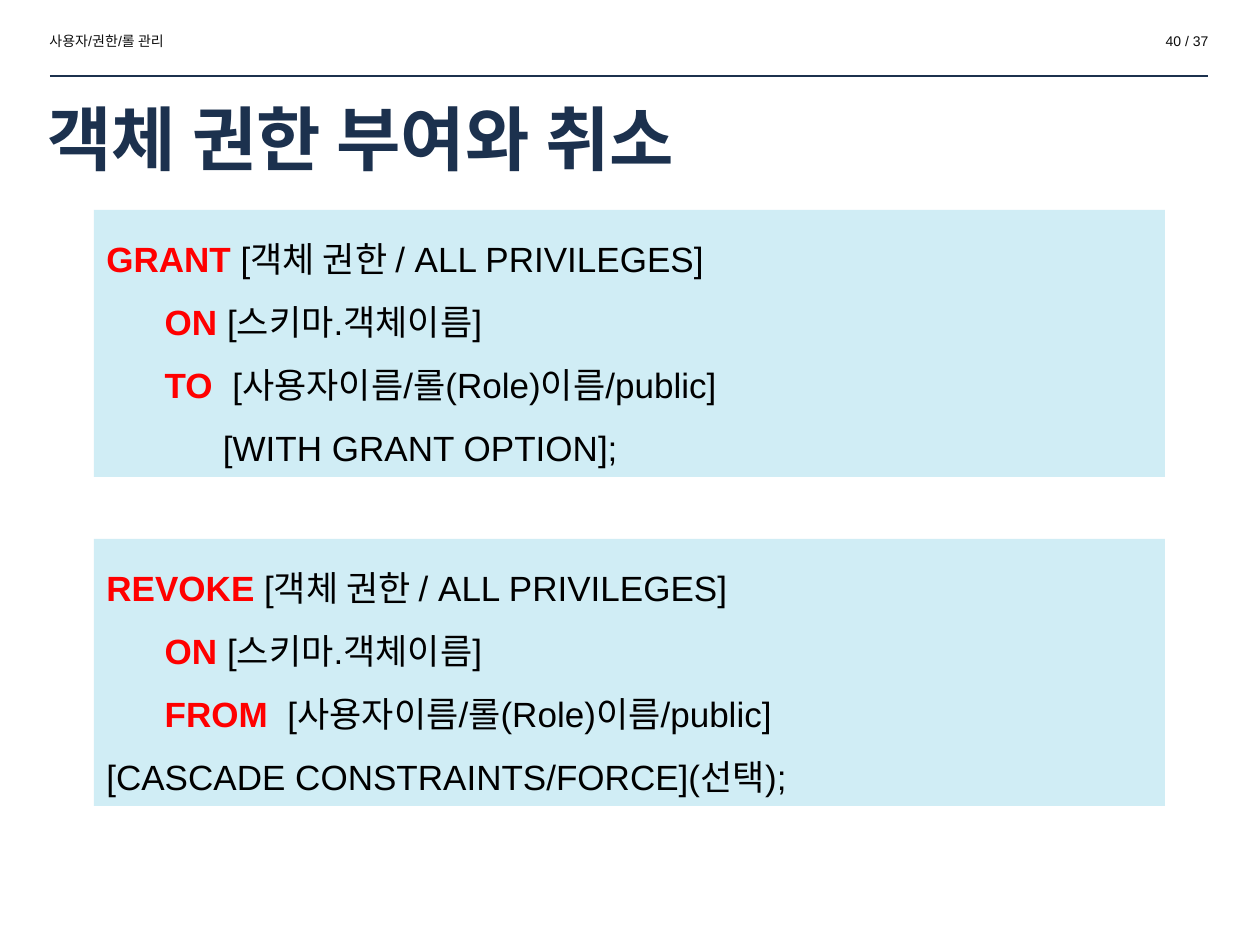
from dataclasses import dataclass

from lxml.etree import SubElement
from pptx import Presentation
from pptx.dml.color import RGBColor
from pptx.enum.shapes import MSO_CONNECTOR, MSO_SHAPE
from pptx.enum.text import MSO_ANCHOR, MSO_AUTO_SIZE, PP_ALIGN
from pptx.oxml.ns import qn
from pptx.util import Emu, Inches, Pt

PX_PER_INCH = 126
FONT = "Arial"
COLORS = {
    "navy": "1C314E",
    "header": "0C0C0C",
    "panel": "D0EDF5",
    "keyword": "FF0000",
    "code": "000000",
}


@dataclass(frozen=True)
class Box:
    left: int
    top: int
    width: int
    height: int

    def emu(self) -> list[Emu]:
        return [px(n) for n in (self.left, self.top, self.width, self.height)]


@dataclass(frozen=True)
class CodeLine:
    keyword: str
    rest: str


@dataclass(frozen=True)
class Syntax:
    top: int
    lines: tuple[CodeLine, ...]


PRIVILEGE = " [객체 권한 / ALL PRIVILEGES]"
TARGET = CodeLine("      ON ", "[스키마.객체이름]")
GRANTEE = " [사용자이름/롤(Role)이름/public]"
SYNTAXES = (
    Syntax(210, (
        CodeLine("GRANT", PRIVILEGE),
        TARGET,
        CodeLine("      TO ", GRANTEE),
        CodeLine("", "            [WITH GRANT OPTION];"),
    )),
    Syntax(539, (
        CodeLine("REVOKE", PRIVILEGE),
        TARGET,
        CodeLine("      FROM ", GRANTEE),
        CodeLine("", "[CASCADE CONSTRAINTS/FORCE](선택);"),
    )),
)


def px(n: int) -> Emu:
    return Emu(round(n * Inches(1) / PX_PER_INCH))


def rgb(name: str) -> RGBColor:
    return RGBColor.from_string(COLORS[name])


def style(font, size: int, color: str, bold: bool = False) -> None:
    font.name = FONT
    font.size = Pt(size)
    font.bold = bold
    font.color.rgb = rgb(color)


def add_header(slide, text: str, box: Box, align: PP_ALIGN) -> None:
    frame = slide.shapes.add_textbox(*box.emu()).text_frame
    frame.word_wrap = True
    paragraph = frame.paragraphs[0]
    paragraph.text = text
    paragraph.alignment = align
    style(paragraph.font, 8, "header")


def add_rule(slide, left: int, right: int, y: int) -> None:
    rule = slide.shapes.add_connector(
        MSO_CONNECTOR.STRAIGHT, px(left), px(y), px(right), px(y))
    rule.line.color.rgb = rgb("navy")
    rule.line.width = Pt(0.75)
    SubElement(rule._element.spPr, qn("a:effectLst"))


def set_title(slide, text: str, box: Box) -> None:
    title = slide.shapes.title
    title.left, title.top, title.width, title.height = box.emu()
    frame = title.text_frame
    frame.auto_size = MSO_AUTO_SIZE.NONE
    frame.vertical_anchor = MSO_ANCHOR.MIDDLE
    paragraph = frame.paragraphs[0]
    paragraph.text = text
    paragraph.alignment = PP_ALIGN.LEFT
    style(paragraph.font, 40, "navy", bold=True)


def add_syntax(slide, syntax: Syntax) -> None:
    panel = slide.shapes.add_shape(
        MSO_SHAPE.RECTANGLE, *Box(94, syntax.top, 1071, 267).emu())
    panel.shadow.inherit = False
    panel.fill.solid()
    panel.fill.fore_color.rgb = rgb("panel")
    panel.line.fill.background()
    frame = panel.text_frame
    frame.word_wrap = True
    frame.vertical_anchor = MSO_ANCHOR.TOP
    for i, line in enumerate(syntax.lines):
        paragraph = frame.add_paragraph() if i else frame.paragraphs[0]
        paragraph.alignment = PP_ALIGN.LEFT
        paragraph.line_spacing = 1.5
        style(paragraph.font, 20, "code")
        if line.keyword:
            keyword = paragraph.add_run()
            keyword.text = line.keyword
            style(keyword.font, 20, "keyword", bold=True)
        rest = paragraph.add_run()
        rest.text = line.rest
        style(rest.font, 20, "code")


def main() -> None:
    deck = Presentation()
    deck.slide_width, deck.slide_height = Inches(10), Inches(7.5)
    slide = deck.slides.add_slide(deck.slide_layouts.get_by_name("Title Only"))
    add_rule(slide, 50, 1208, 76)
    set_title(slide, "객체 권한 부여와 취소", Box(35, 97, 964, 81))
    add_header(slide, "40 / 37", Box(1003, 26, 218, 30), PP_ALIGN.RIGHT)
    add_header(slide, "사용자/권한/롤 관리", Box(37, 26, 218, 30), PP_ALIGN.LEFT)
    for syntax in SYNTAXES:
        add_syntax(slide, syntax)
    deck.save("out.pptx")


if __name__ == "__main__":
    main()
